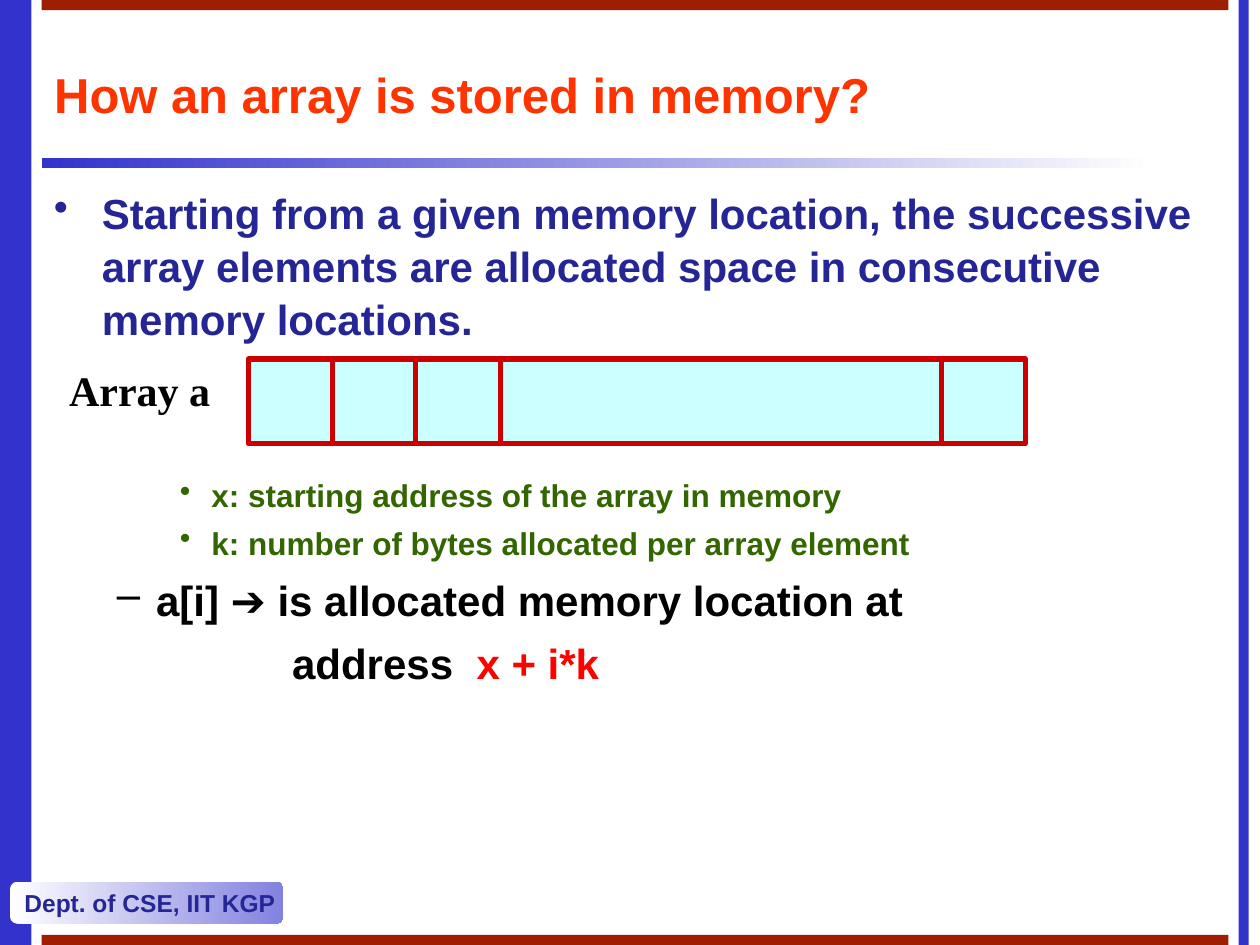
import pptx
import pptx.util
from pptx.dml.color import RGBColor
from pptx.enum.shapes import MSO_CONNECTOR, MSO_SHAPE
from pptx.enum.text import MSO_ANCHOR, PP_ALIGN
from pptx.oxml.ns import qn
from lxml import etree

Inches = pptx.util.Inches
Pt = pptx.util.Pt

# Content
TITLE = "How an array is stored in memory?"
DEPARTMENT = "Dept. of CSE, IIT KGP"
ARRAY_LABEL = "Array a"
# Each paragraph: style, space before in points, runs of (text, colour)
BODY = [
    ("point", 0, [("Starting from a given memory location, the successive array "
                   "elements are allocated space in consecutive memory locations.", "navy")]),
    ("detail", 74.5, [("x: starting address of the array in memory", "green")]),
    ("detail", 4.5, [("k: number of bytes allocated per array element", "green")]),
    ("result", 6, [("a[i] ➔ is allocated memory location at", "black")]),
    ("formula", 6, [("address  ", "black"), ("x + i*k", "red")]),
]

# Theme
THEME = {
    "font": "Arial", "serif": "Times New Roman",
    "title_size": 28, "text_size": 24, "detail_size": 18, "badge_size": 14,
    "blue": "3333CC", "pale_blue": "8282E0", "navy": "252595", "white": "FFFFFF",
    "brick": "A01E00", "orange": "FF3300", "green": "336600", "black": "000000",
    "red": "FF0000", "cell": "CCFFFF", "cell_line": "CC0000", "line_width": 3,
}
# Each style: level, left margin, first-line indent, bullet, size
STYLES = {
    "point": (0, 0.38, -0.38, "•", "text_size"),
    "detail": (2, 1.25, -0.25, "•", "detail_size"),
    "result": (1, 0.81, -0.31, "–", "text_size"),
    "formula": (1, 0.81, 1.08, None, "text_size"),
}

# Layout
SOLID_BARS = [
    ((0, 0, 0.25, 7.5), "blue"),
    ((9.83, 0, 0.08, 7.5), "blue"),
    ((0.33, 0, 9.42, 0.08), "brick"),
    ((0.33, 7.42, 9.42, 0.08), "brick"),
]
ARRAY = (1.97, 2.85, 6.17, 0.67)
DIVIDERS = (0.67, 1.33, 2, 5.5)


def colour(name):
    return RGBColor.from_string(THEME[name])


def inches(values):
    return [Inches(value) for value in values]


def format_span(span, size, tint, font="font"):
    span.font.name = THEME[font]
    span.font.size = Pt(THEME[size])
    span.font.bold = True
    span.font.color.rgb = colour(tint)


def add_block(shapes, place, fill, kind=MSO_SHAPE.RECTANGLE):
    """Add a borderless shape; a pair of colours blends from left to right."""
    block = shapes.add_shape(kind, *inches(place))
    block.shadow.inherit = False
    block.line.fill.background()
    if isinstance(fill, tuple):
        block.fill.gradient()
        block.fill.gradient_angle = 0
        for stop, position, name in zip(block.fill.gradient_stops, (0, 1), fill):
            stop.position = position
            stop.color.rgb = colour(name)
    else:
        block.fill.solid()
        block.fill.fore_color.rgb = colour(fill)
    return block


def outline(line):
    line.color.rgb = colour("cell_line")
    line.width = Pt(THEME["line_width"])


def set_indent(para, margin, indent, bullet, tint):
    props = para._p.get_or_add_pPr()
    props.set("marL", str(Inches(margin)))
    props.set("indent", str(Inches(indent)))
    if bullet:
        bullet_colour = etree.SubElement(props, qn("a:buClr"))
        etree.SubElement(bullet_colour, qn("a:srgbClr"), val=THEME[tint])
        etree.SubElement(props, qn("a:buChar"), char=bullet)
    else:
        etree.SubElement(props, qn("a:buNone"))


deck = pptx.Presentation()
deck.slide_width, deck.slide_height = inches((10, 7.5))
page = deck.slides.add_slide(deck.slide_layouts[5])

# Frame bars and title rule
for place, fill in SOLID_BARS:
    add_block(page.shapes, place, fill)
add_block(page.shapes, (0.33, 1.25, 8.83, 0.08), ("blue", "white"))

# Department badge
badge = add_block(page.shapes, (0.08, 7, 2.17, 0.33), ("white", "pale_blue"),
                  MSO_SHAPE.ROUNDED_RECTANGLE)
badge.text_frame.text = DEPARTMENT
badge.text_frame.word_wrap = False
badge.text_frame.vertical_anchor = MSO_ANCHOR.MIDDLE
badge_para = badge.text_frame.paragraphs[0]
badge_para.alignment = PP_ALIGN.LEFT
format_span(badge_para.runs[0], "badge_size", "navy")

# Title
title = page.shapes.title
title.left, title.top, title.width, title.height = inches((0.33, 0.33, 9.42, 0.83))
title.text_frame.text = TITLE
title.text_frame.vertical_anchor = MSO_ANCHOR.MIDDLE
title_para = title.text_frame.paragraphs[0]
title_para.alignment = PP_ALIGN.LEFT
format_span(title_para.runs[0], "title_size", "orange")

# Body text
body = page.shapes.add_textbox(*inches((0.33, 1.42, 9.42, 5.5)))
body.text_frame.word_wrap = True
for index, (style, before, spans) in enumerate(BODY):
    para = body.text_frame.paragraphs[0] if index == 0 else body.text_frame.add_paragraph()
    level, margin, indent, bullet, size = STYLES[style]
    para.level = level
    para.line_spacing = 1.05
    para.space_before = Pt(before)
    set_indent(para, margin, indent, bullet, spans[0][1])
    for text, tint in spans:
        span = para.add_run()
        span.text = text
        format_span(span, size, tint)

# Array strip with its cell dividers
strip = page.shapes.add_group_shape()
left, top, width, height = ARRAY
outline(add_block(strip.shapes, ARRAY, "cell").line)
for offset in DIVIDERS:
    x = left + offset
    divider = strip.shapes.add_connector(
        MSO_CONNECTOR.STRAIGHT, *inches((x, top, x, top + height)))
    outline(divider.line)
    etree.SubElement(divider._element.spPr, qn("a:effectLst"))

# Array label
label = page.shapes.add_textbox(*inches((0.45, 2.84, 1.42, 0.5)))
label.text_frame.word_wrap = True
label.text_frame.text = ARRAY_LABEL
format_span(label.text_frame.paragraphs[0].runs[0], "text_size", "black", "serif")

deck.save("out.pptx")
